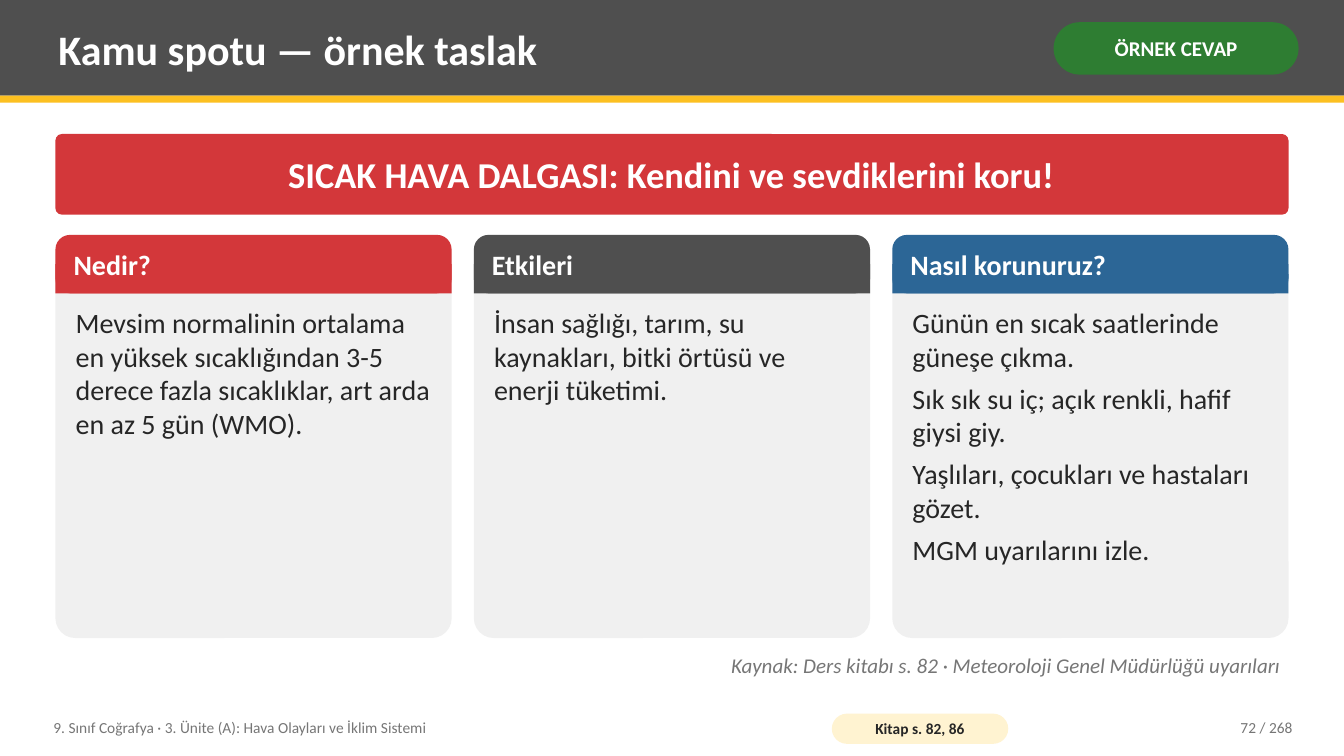
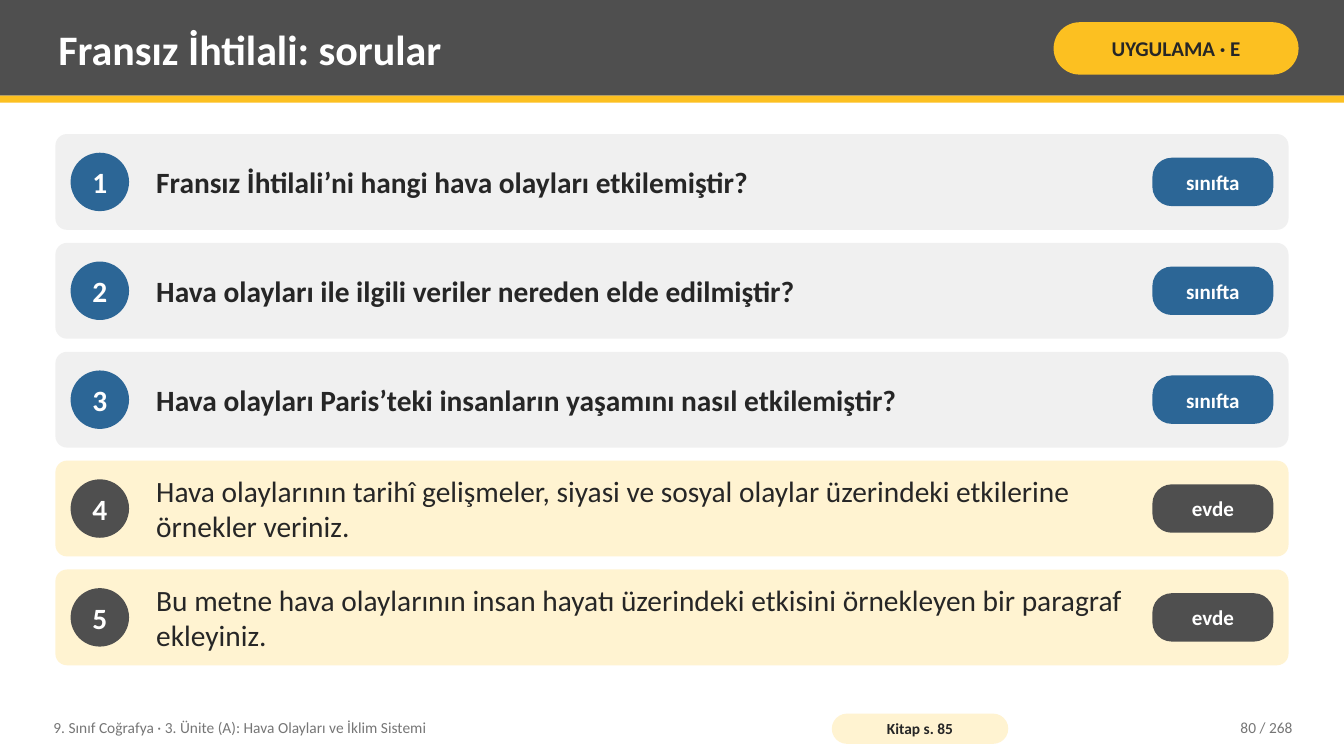
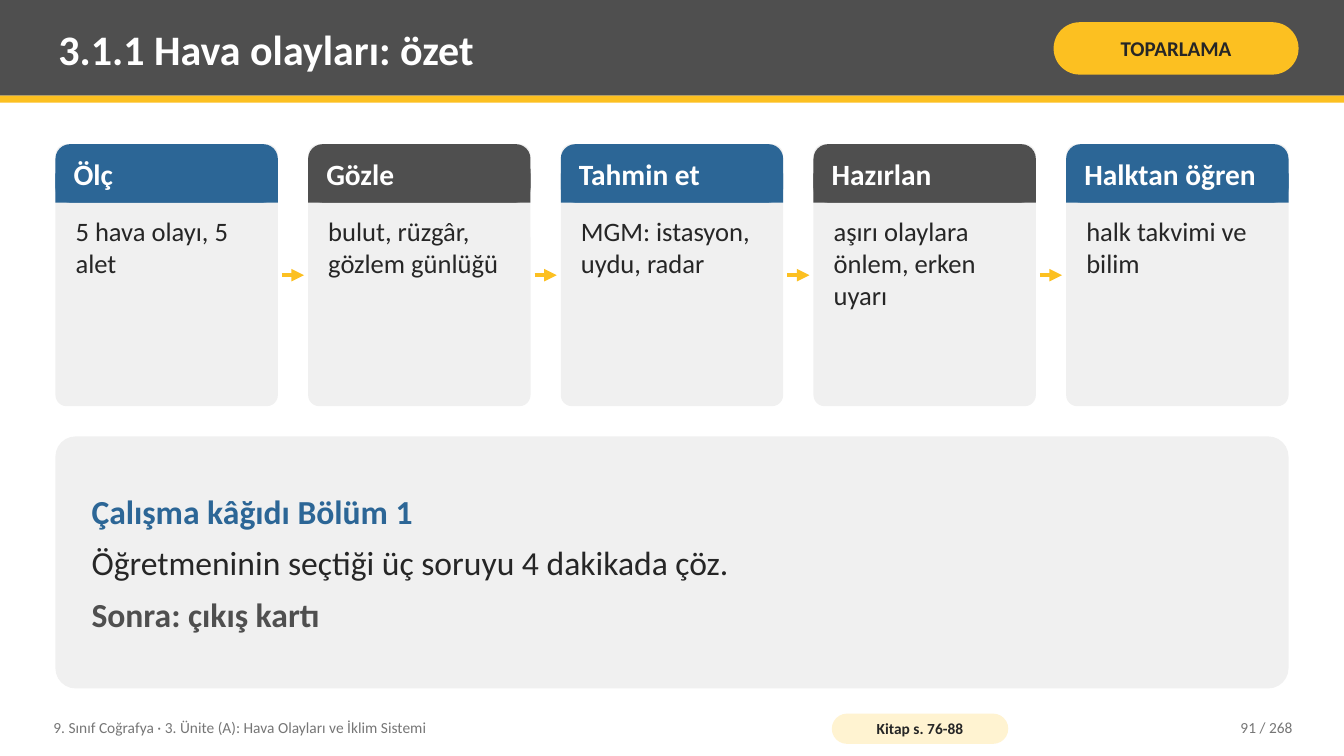
from lxml import etree
from pptx import Presentation, util as u
from pptx.dml.color import RGBColor
from pptx.enum import shapes, text
from pptx.oxml.ns import qn

FONT = "Calibri"
WHITE, INK, GREY, DARK = "FFFFFF", "262626", "767676", "4F4F4F"
PALE, CREAM, YELLOW = "F0F0F0", "FFF3D1", "FCC021"
RED, BLUE, GREEN = "D3373A", "2C6696", "2E7D32"

WIDTH, HEIGHT = 13.33, 7.5
MARGIN = 0.55
CONTENT = WIDTH - 2 * MARGIN
TOP = 1.33
BAND = 0.95
CARD_HEAD = 0.58
TOTAL = 268
COURSE = "9. Sınıf Coğrafya · 3. Ünite (A): Hava Olayları ve İklim Sistemi"

RECT = shapes.MSO_SHAPE.RECTANGLE
ROUND = shapes.MSO_SHAPE.ROUNDED_RECTANGLE
OVAL = shapes.MSO_SHAPE.OVAL
LEFT, CENTER, RIGHT = (text.PP_ALIGN.LEFT, text.PP_ALIGN.CENTER,
                       text.PP_ALIGN.RIGHT)
TOP_ANCHOR, MIDDLE = text.MSO_ANCHOR.TOP, text.MSO_ANCHOR.MIDDLE


def rgb(value):
    return RGBColor.from_string(value)


def columns(count, gap):
    """Return the left edges and the common width of equal columns."""
    width = (CONTENT - gap * (count - 1)) / count
    return [MARGIN + i * (width + gap) for i in range(count)], width


def write(sp, lines, size, color=INK, bold=False, italic=False, align=LEFT,
          anchor=MIDDLE, inset=(0.08, 0.04), after=0, wrap=True):
    """Fill a shape with lines; a line is text or (text, colour, bold)."""
    tf = sp.text_frame
    tf.word_wrap = wrap
    tf.vertical_anchor = anchor
    tf.margin_left = tf.margin_right = u.Inches(inset[0])
    tf.margin_top = tf.margin_bottom = u.Inches(inset[1])
    lines = [lines] if isinstance(lines, str) else lines
    for i, line in enumerate(lines):
        words, tint, heavy = (line, color, bold) if isinstance(line, str) else line
        p = tf.paragraphs[0] if i == 0 else tf.add_paragraph()
        p.text = words
        p.alignment = align
        if i < len(lines) - 1:
            p.space_after = u.Pt(after)
        for r in p.runs:
            r.font.name, r.font.size = FONT, u.Pt(size)
            r.font.bold, r.font.italic = heavy, italic
            r.font.color.rgb = rgb(tint)


def add_block(s, kind, x, y, w, h, fill, radius=None):
    sp = s.shapes.add_shape(kind, *map(u.Inches, (x, y, w, h)))
    sp.shadow.inherit = False
    sp.fill.solid()
    sp.fill.fore_color.rgb = rgb(fill)
    sp.line.fill.background()
    if radius is not None:
        sp.adjustments[0] = radius
    return sp


def add_label(s, x, y, w, h, lines, size, **style):
    write(s.shapes.add_textbox(*map(u.Inches, (x, y, w, h))), lines, size, **style)


def add_pill(s, x, y, w, h, label, size, fill, color=WHITE, radius=0.5,
             inset=(0.04, 0)):
    sp = add_block(s, ROUND, x, y, w, h, fill, radius)
    write(sp, label, size, color, bold=True, align=CENTER, inset=inset)


def add_card(s, x, y, w, h, fill, title, body, title_size, body_size):
    half = CARD_HEAD / 2
    add_block(s, ROUND, x, y, w, h, PALE, 0.05)
    add_block(s, ROUND, x, y, w, CARD_HEAD, fill, 0.25)
    add_block(s, RECT, x, y + half, w, half, fill)
    add_label(s, x + 0.1, y, w - 0.2, CARD_HEAD, title, title_size,
              color=WHITE, bold=True)
    add_label(s, x + 0.12, y + CARD_HEAD + 0.08, w - 0.24,
              h - CARD_HEAD - 0.16, body, body_size, anchor=TOP_ANCHOR, after=6)


def add_arrow(s, x1, x2, y):
    line = s.shapes.add_connector(shapes.MSO_CONNECTOR.STRAIGHT,
                                  *map(u.Inches, (x1, y, x2, y)))
    line.line.color.rgb = rgb(YELLOW)
    line.line.width = u.Pt(3)
    etree.SubElement(line.line._get_or_add_ln(), qn("a:tailEnd"), type="triangle")
    etree.SubElement(line._element.spPr, qn("a:effectLst"))


def add_question(s, y, h, number, question, in_class):
    accent, back, place = ((BLUE, PALE, "sınıfta") if in_class
                           else (DARK, CREAM, "evde"))
    disc, tag_w, tag_h = 0.58, 1.2, 0.48
    add_block(s, ROUND, MARGIN, y, CONTENT, h, back, 0.12)
    sp = add_block(s, OVAL, MARGIN + 0.15, y + (h - disc) / 2, disc, disc, accent)
    write(sp, str(number), 21, WHITE, bold=True, align=CENTER, inset=(0, 0),
          wrap=False)
    add_label(s, 1.47, y, 9.83, h, question, 21, bold=in_class)
    add_pill(s, MARGIN + CONTENT - 0.15 - tag_w, y + (h - tag_h) / 2,
             tag_w, tag_h, place, 15, accent, radius=0.4, inset=(0.03, 0))


def new_slide(prs, title, tag, pages, number, tag_fill=YELLOW, tag_color=INK):
    """Add a blank slide with the shared title band and footer."""
    s = prs.slides.add_slide(prs.slide_layouts[6])
    add_block(s, RECT, 0, 0, WIDTH, BAND, DARK)
    add_block(s, RECT, 0, BAND, WIDTH, 0.07, YELLOW)
    add_label(s, 0.5, 0.07, 9.75, 0.82, title, 30, color=WHITE, bold=True)
    add_pill(s, 10.45, 0.22, 2.43, 0.52, tag, 15, tag_fill, tag_color,
             inset=(0.05, 0.02))
    add_label(s, 0.45, 7.04, 7.6, 0.36, COURSE, 11, color=GREY)
    add_pill(s, 8.25, 7.08, 1.75, 0.3, f"Kitap s. {pages}", 11, CREAM, INK)
    add_label(s, 11.3, 7.04, 1.6, 0.36, f"{number} / {TOTAL}", 11,
              color=GREY, align=RIGHT)
    return s


def build_poster(prs):
    s = new_slide(prs, "Kamu spotu — örnek taslak", "ÖRNEK CEVAP", "82, 86", 72,
                  GREEN, WHITE)
    add_pill(s, MARGIN, TOP, CONTENT, 0.8,
             "SICAK HAVA DALGASI: Kendini ve sevdiklerini koru!", 26, RED,
             radius=0.08, inset=(0.14, 0.08))
    cards = [
        (RED, "Nedir?", "Mevsim normalinin ortalama en yüksek sıcaklığından 3-5 "
         "derece fazla sıcaklıklar, art arda en az 5 gün (WMO)."),
        (DARK, "Etkileri", "İnsan sağlığı, tarım, su kaynakları, bitki örtüsü ve "
         "enerji tüketimi."),
        (BLUE, "Nasıl korunuruz?", [
            "Günün en sıcak saatlerinde güneşe çıkma.",
            "Sık sık su iç; açık renkli, hafif giysi giy.",
            "Yaşlıları, çocukları ve hastaları gözet.",
            "MGM uyarılarını izle."]),
    ]
    lefts, w = columns(len(cards), 0.22)
    for x, (fill, title, body) in zip(lefts, cards):
        add_card(s, x, TOP + 1, w, 4, fill, title, body, 20, 20)
    add_label(s, MARGIN, 6.43, CONTENT, 0.4,
              "Kaynak: Ders kitabı s. 82 · Meteoroloji Genel Müdürlüğü uyarıları",
              15, color=GREY, italic=True, align=RIGHT, anchor=TOP_ANCHOR)


def build_questions(prs):
    s = new_slide(prs, "Fransız İhtilali: sorular", "UYGULAMA · E", "85", 80)
    questions = [
        ("Fransız İhtilali’ni hangi hava olayları etkilemiştir?", True),
        ("Hava olayları ile ilgili veriler nereden elde edilmiştir?", True),
        ("Hava olayları Paris’teki insanların yaşamını nasıl etkilemiştir?", True),
        ("Hava olaylarının tarihî gelişmeler, siyasi ve sosyal olaylar "
         "üzerindeki etkilerine örnekler veriniz.", False),
        ("Bu metne hava olaylarının insan hayatı üzerindeki etkisini "
         "örnekleyen bir paragraf ekleyiniz.", False),
    ]
    row, gap = 0.95, 0.13
    for i, (question, in_class) in enumerate(questions):
        add_question(s, TOP + i * (row + gap), row, i + 1, question, in_class)


def build_summary(prs):
    s = new_slide(prs, "3.1.1 Hava olayları: özet", "TOPARLAMA", "76-88", 91)
    steps = [
        ("Ölç", "5 hava olayı, 5 alet"),
        ("Gözle", "bulut, rüzgâr, gözlem günlüğü"),
        ("Tahmin et", "MGM: istasyon, uydu, radar"),
        ("Hazırlan", "aşırı olaylara önlem, erken uyarı"),
        ("Halktan öğren", "halk takvimi ve bilim"),
    ]
    y, h, gap = TOP + 0.1, 2.6, 0.3
    lefts, w = columns(len(steps), gap)
    for i, (x, (title, body)) in enumerate(zip(lefts, steps)):
        add_card(s, x, y, w, h, DARK if i % 2 else BLUE, title, body, 21, 19)
        if i:
            add_arrow(s, x - gap + 0.04, x - 0.04, y + h / 2)
    task = add_block(s, ROUND, MARGIN, y + h + gap, CONTENT, 2.5, PALE, 0.08)
    write(task, [("Çalışma kâğıdı Bölüm 1", BLUE, True),
                 ("Öğretmeninin seçtiği üç soruyu 4 dakikada çöz.", INK, False),
                 ("Sonra: çıkış kartı", DARK, True)],
          24, inset=(0.3, 0.08), after=8)


def main():
    prs = Presentation()
    prs.slide_width, prs.slide_height = u.Inches(WIDTH), u.Inches(HEIGHT)
    build_poster(prs)
    build_questions(prs)
    build_summary(prs)
    prs.save("out.pptx")


if __name__ == "__main__":
    main()
